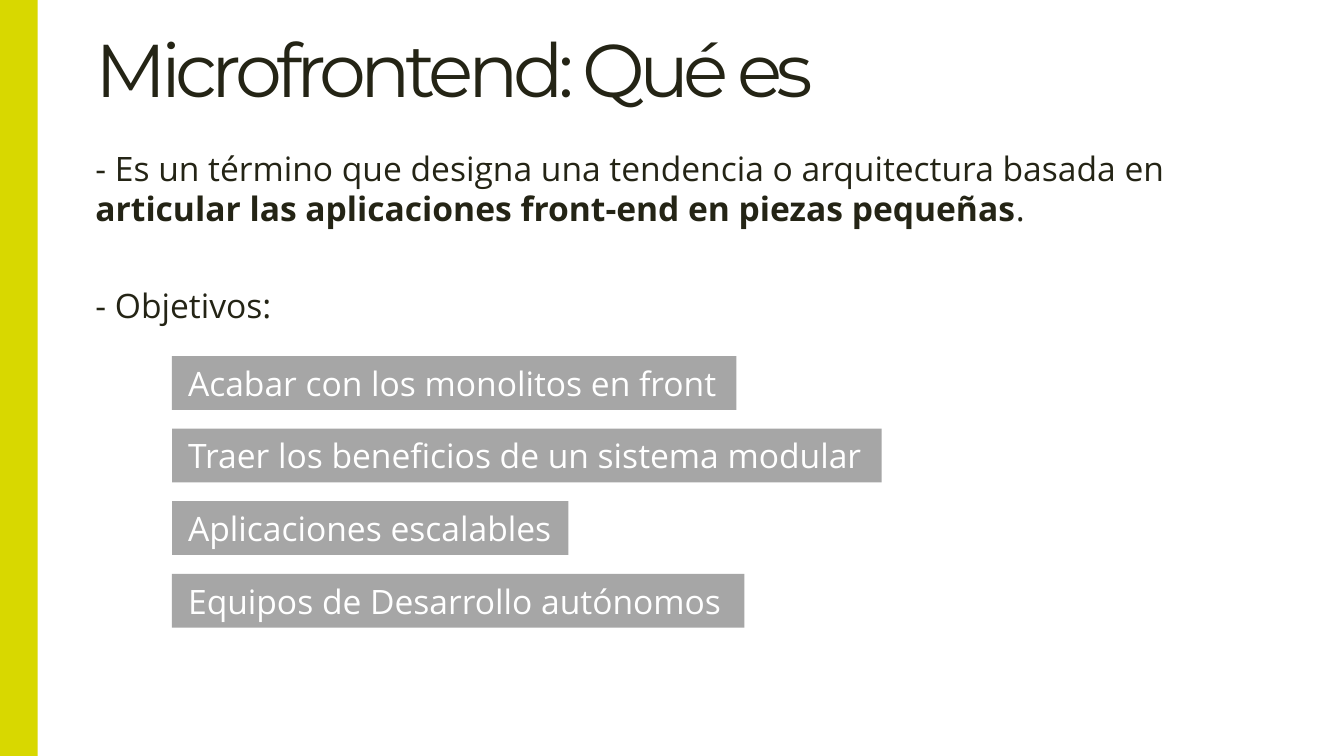
"""Build the slide that explains what a microfrontend is and its goals."""
from dataclasses import dataclass

from pptx import Presentation
from pptx.dml.color import RGBColor
from pptx.enum.shapes import MSO_SHAPE as Shape
from pptx.enum.text import MSO_ANCHOR as Anchor, MSO_AUTO_SIZE as AutoSize, PP_ALIGN as Align
from pptx.util import Inches, Pt


@dataclass(frozen=True)
class Theme:
    ink: RGBColor = RGBColor.from_string("242415")
    accent: RGBColor = RGBColor.from_string("D8D800")
    goal_fill: RGBColor = RGBColor.from_string("A6A6A6")
    goal_ink: RGBColor = RGBColor.from_string("FFFFFF")
    title_font: str = "Montserrat"
    body_font: str = "Open Sans"
    title_size: Pt = Pt(40)
    body_size: Pt = Pt(18)


theme = Theme()


def style_text(frame, font, size, color, inset=0):
    frame.margin_left, frame.margin_right = Inches(inset), Inches(0.1)
    frame.margin_top = frame.margin_bottom = Inches(0.05)
    paragraph = frame.paragraphs[0]
    paragraph.alignment = Align.LEFT
    paragraph.line_spacing = 1.0
    for run in paragraph.runs:
        run.font.name, run.font.size = font, size
        run.font.color.rgb = color


def add_block(left, top, width, height, color):
    block = slide.shapes.add_shape(Shape.RECTANGLE, left, top, width, height)
    block.shadow.inherit = False
    block.fill.solid()
    block.fill.fore_color.rgb = color
    block.line.fill.background()
    return block


prs = Presentation()
prs.slide_width = Inches(10)
prs.slide_height = prs.slide_width * 9 // 16
slide = prs.slides.add_slide(prs.slide_layouts[5])

text_left, text_width = Inches(0.71), Inches(9.02)

title = slide.shapes.title
title.left, title.top = text_left, Inches(0)
title.width, title.height = text_width, Inches(0.89)
title.text_frame.text = "Microfrontend: Qué es"
title.text_frame.vertical_anchor = Anchor.BOTTOM
title.text_frame.auto_size = AutoSize.NONE
style_text(title.text_frame, theme.title_font, theme.title_size, theme.ink)
title.text_frame.paragraphs[0].runs[0].font._element.set("spc", "-300")

statements = [
    (1.05, 0.71, [
        ("- Es un término que designa una tendencia o arquitectura basada en ", False),
        ("articular las aplicaciones front-end en piezas pequeñas", True),
        (".", False),
    ]),
    (2.07, 0.4, [("- Objetivos:", False)]),
]
for top, height, parts in statements:
    statement = slide.shapes.add_textbox(
        text_left, Inches(top), text_width, Inches(height)).text_frame
    statement.word_wrap = True
    statement.auto_size = AutoSize.SHAPE_TO_FIT_TEXT
    for wording, bold in parts:
        run = statement.paragraphs[0].add_run()
        run.text = wording
        run.font.bold = bold
    style_text(statement, theme.body_font, theme.body_size, theme.ink)

add_block(Inches(0), Inches(0), Inches(0.28), prs.slide_height, theme.accent)

goals = [
    ("Acabar con los monolitos en front", 4.2),
    ("Traer los beneficios de un sistema modular", 5.28),
    ("Aplicaciones escalables", 2.95),
    ("Equipos de Desarrollo autónomos", 4.26),
]
goals_top, goal_step = Inches(2.65), Inches(0.54)
for index, (wording, width) in enumerate(goals):
    goal = add_block(Inches(1.28), goals_top + index * goal_step,
                     Inches(width), Inches(0.4), theme.goal_fill).text_frame
    goal.text = wording
    goal.word_wrap = False
    goal.auto_size = AutoSize.SHAPE_TO_FIT_TEXT
    goal.vertical_anchor = Anchor.TOP
    style_text(goal, theme.body_font, theme.body_size, theme.goal_ink, inset=0.12)

prs.save("out.pptx")
